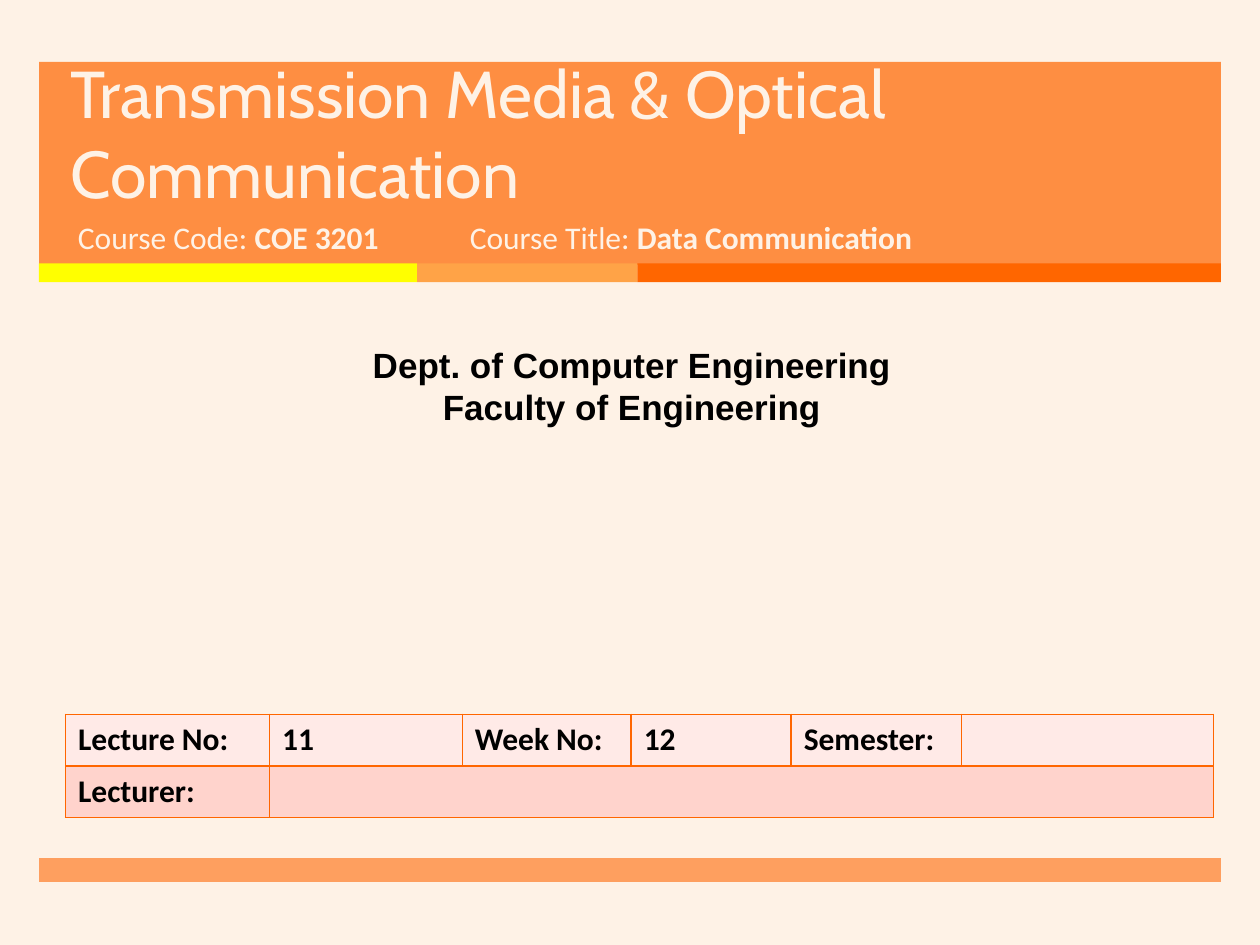
from lxml import etree
from pptx import Presentation
from pptx.dml.color import RGBColor
from pptx.enum import shapes, text
from pptx.oxml import ns
from pptx.util import Inches, Pt

CREAM, BLACK, ORANGE, BORDER = "FEF2E6", "000000", "FF7D26", "FF6600"

BANDS = [
    (0.31, 0.49, 9.38, 1.61, ORANGE, 85),
    (0.31, 2.09, 3, 0.15, "FFFF00", 100),
    (3.31, 2.09, 1.75, 0.15, "FFA347", 100),
    (5.06, 2.09, 4.63, 0.15, "FF6600", 100),
    (0.31, 6.81, 9.38, 0.19, ORANGE, 70),
]
TITLE = [[("Transmission Media & Optical Communication", False)]]
COURSE_CODE = [[("Course Code: ", False), ("COE 3201", True)]]
COURSE_TITLE = [[("Course Title: ", False), ("Data Communication", True)]]
DEPARTMENT = [
    [("Dept. of Computer Engineering", True)],
    [("Faculty of Engineering", True)],
]
LECTURE_ROWS = [
    ["Lecture No:", "11", "Week No:", "12", "Semester:", ""],
    ["Lecturer:", "", "", "", "", ""],
]
ROW_FILLS = ["FFEAE7", "FFD3CC"]
COLUMN_WIDTHS = [1.62, 1.53, 1.34, 1.27, 1.35, 2]
ROW_HEIGHT = 0.41


def paint(fill, color):
    fill.solid()
    fill.fore_color.rgb = RGBColor.from_string(color)


def add_run(para, words, size, font, color, bold):
    span = para.add_run()
    span.text = words
    span.font.size = Pt(size)
    span.font.name = font
    span.font.bold = bold
    span.font.color.rgb = RGBColor.from_string(color)


def add_band(page, left, top, width, height, color, opacity):
    band = page.shapes.add_shape(
        shapes.MSO_SHAPE.RECTANGLE, *map(Inches, (left, top, width, height)))
    band.shadow.inherit = False
    band.line.fill.background()
    paint(band.fill, color)
    if opacity < 100:
        tint = band.fill._xPr.find(".//" + ns.qn("a:srgbClr"))
        etree.SubElement(tint, ns.qn("a:alpha"), val=str(opacity * 1000))


def add_text(page, place, paragraphs, size, font, color,
             align=text.PP_ALIGN.LEFT, anchor=text.MSO_ANCHOR.TOP, spacing=None):
    box = page.shapes.add_textbox(*map(Inches, place))
    frame = box.text_frame
    frame.word_wrap = True
    frame.vertical_anchor = anchor
    for index, runs in enumerate(paragraphs):
        para = frame.add_paragraph() if index else frame.paragraphs[0]
        para.alignment = align
        if spacing:
            para.line_spacing = Pt(spacing)
        for words, bold in runs:
            add_run(para, words, size, font, color, bold)


def add_borders(cell):
    properties = cell._tc.get_or_add_tcPr()
    for index, side in enumerate(("lnL", "lnR", "lnT", "lnB")):
        line = etree.Element(ns.qn("a:" + side), w=str(Pt(1)))
        solid = etree.SubElement(line, ns.qn("a:solidFill"))
        etree.SubElement(solid, ns.qn("a:srgbClr"), val=BORDER)
        properties.insert(index, line)


def add_lecture_table(page):
    rows, columns = len(LECTURE_ROWS), len(COLUMN_WIDTHS)
    table = page.shapes.add_table(
        rows, columns, Inches(0.52), Inches(5.67),
        Inches(sum(COLUMN_WIDTHS)), Inches(rows * ROW_HEIGHT)).table
    for column, width in zip(table.columns, COLUMN_WIDTHS):
        column.width = Inches(width)
    for r, (row, fill) in enumerate(zip(LECTURE_ROWS, ROW_FILLS)):
        table.rows[r].height = Inches(ROW_HEIGHT)
        for c, words in enumerate(row):
            cell = table.cell(r, c)
            paint(cell.fill, fill)
            add_borders(cell)
            if words:
                add_run(cell.text_frame.paragraphs[0], words, 18, "Calibri", BLACK, True)
    table.cell(1, 1).merge(table.cell(1, columns - 1))


def main():
    deck = Presentation()
    deck.slide_width, deck.slide_height = Inches(10), Inches(7.5)
    page = deck.slides.add_slide(deck.slide_layouts[6])
    paint(page.background.fill, CREAM)
    for band in BANDS:
        add_band(page, *band)
    add_text(page, (0.46, 0.71, 8.54, 1.02), TITLE, 37.8, "Cabin", CREAM,
             anchor=text.MSO_ANCHOR.BOTTOM, spacing=46)
    add_text(page, (0.52, 1.68, 3.05, 0.53), COURSE_CODE, 18, "Calibri", CREAM)
    add_text(page, (0.08, 2.68, 9.87, 0.77), DEPARTMENT, 20, "Arial", BLACK,
             align=text.PP_ALIGN.CENTER)
    add_lecture_table(page)
    add_text(page, (3.63, 1.68, 4.55, 0.53), COURSE_TITLE, 18, "Calibri", CREAM)
    deck.save("out.pptx")


if __name__ == "__main__":
    main()
